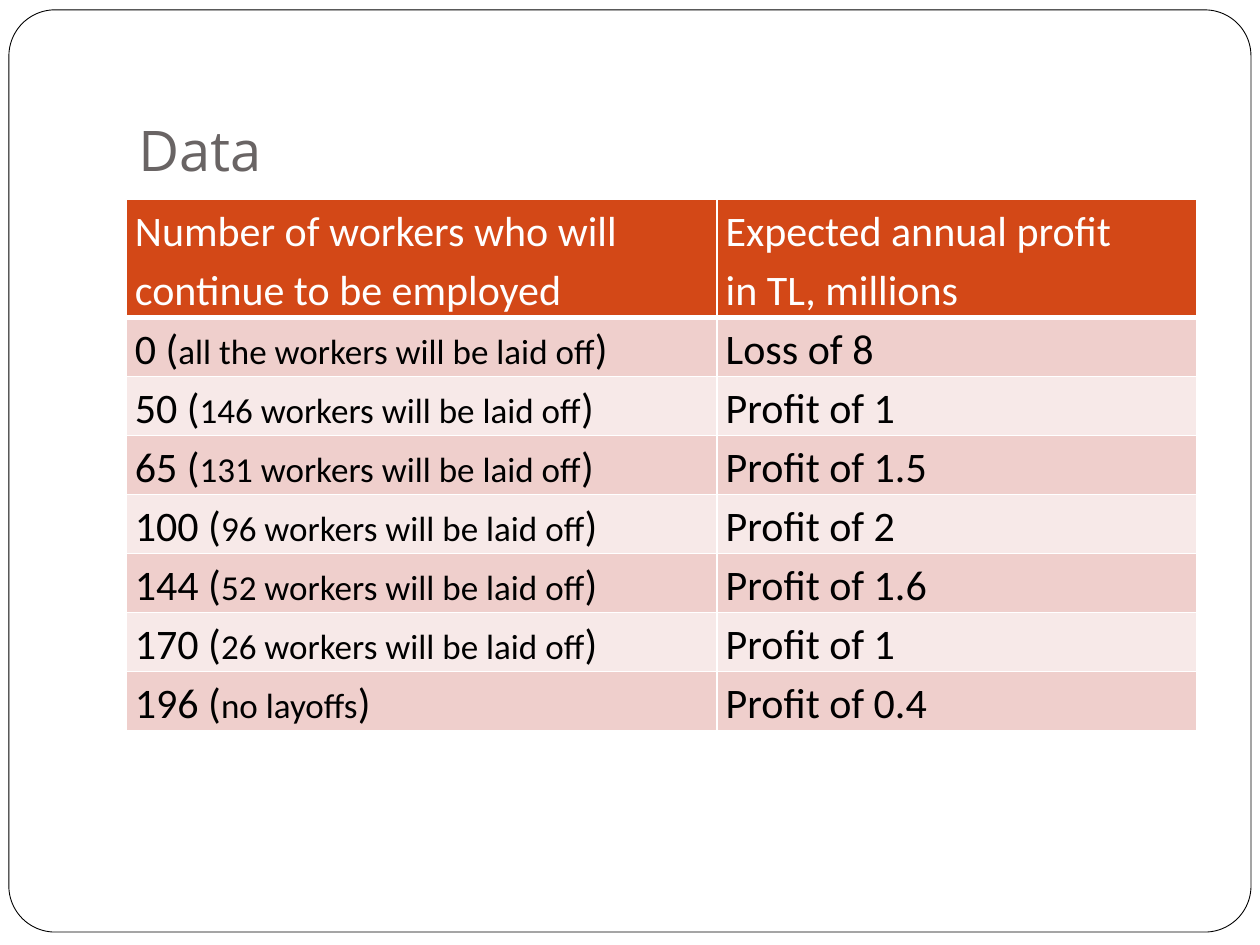
from pptx import Presentation
from pptx.dml.color import RGBColor
from pptx.enum.shapes import MSO_SHAPE
from pptx.enum.text import MSO_ANCHOR, PP_ALIGN
from pptx.util import Cm, Pt
from lxml.etree import SubElement
from pptx.oxml.ns import qn


def color(code):
    return RGBColor.from_string(code)


def write(para, text, font="Calibri", size=24, code="000000", space=1.15):
    para.alignment = PP_ALIGN.LEFT
    para.line_spacing = space
    run = para.add_run()
    run.text = text
    run.font.name = font
    run.font.size = Pt(size)
    run.font.bold = False
    run.font.color.rgb = color(code)


deck = Presentation()
deck.slide_width, deck.slide_height = Cm(25.4), Cm(19.05)
slide = deck.slides.add_slide(deck.slide_layouts[5])

frame = slide.shapes.add_shape(
    MSO_SHAPE.ROUNDED_RECTANGLE, Cm(0.18), Cm(0.2), Cm(25.04), Cm(18.59))
frame.adjustments[0] = 0.05
frame.shadow.inherit = False
frame.fill.solid()
frame.fill.fore_color.rgb = color("FFFFFF")
frame.line.color.rgb = color("000000")
frame.line.width = Pt(0.5)
slide.shapes._spTree.insert(2, frame._element)

title = slide.shapes.title
title.left, title.top, title.width, title.height = Cm(2.54), Cm(0.76), Cm(21.59), Cm(3.18)
body = title.text_frame
body.word_wrap = True
body.vertical_anchor = MSO_ANCHOR.BOTTOM
body.margin_left = body.margin_right = body.margin_bottom = Cm(0.25)
body.margin_top = Cm(0.13)
write(body.paragraphs[0], "Data", font="Open Sans", size=32, code="696464", space=1.0)

heads = [
    ["Number of workers who will", "continue to be employed"],
    ["Expected annual proﬁt", "in TL, millions"],
]
data = [
    ("0", "all the workers will be laid off", "Loss of 8"),
    ("50", "146 workers will be laid off", "Profit of 1"),
    ("65", "131 workers will be laid off", "Profit of 1.5"),
    ("100", "96 workers will be laid off", "Profit of 2"),
    ("144", "52 workers will be laid off", "Profit of 1.6"),
    ("170", "26 workers will be laid off", "Profit of 1"),
    ("196", "no layoffs", "Profit of 0.4"),
]

table = slide.shapes.add_table(
    len(data) + 1, 2, Cm(2.54), Cm(4.02), Cm(21.59), Cm(10.69)).table
table.columns[0].width, table.columns[1].width = Cm(11.91), Cm(9.68)
for row in table.rows:
    row.height = Cm(1.19)
table.rows[0].height = Cm(2.36)

for r, row in enumerate(table.rows):
    for cell in row.cells:
        cell.margin_left = cell.margin_right = Cm(0.18)
        cell.margin_top = cell.margin_bottom = 0
        props = cell._tc.get_or_add_tcPr()
        for side in ("lnL", "lnR", "lnT", "lnB"):
            thick = 3 if r == 0 and side == "lnB" else 1
            edge = SubElement(props, qn("a:" + side), w=str(Pt(thick)))
            SubElement(SubElement(edge, qn("a:solidFill")), qn("a:srgbClr"), val="FFFFFF")
        cell.fill.solid()
        tint = "D34817" if r == 0 else ("F7E9E8", "EFCFCC")[r % 2]
        cell.fill.fore_color.rgb = color(tint)

for cell, (first, second) in zip(table.rows[0].cells, heads):
    write(cell.text_frame.paragraphs[0], first, code="FFFFFF")
    write(cell.text_frame.add_paragraph(), second, code="FFFFFF")

for r, (count, note, profit) in enumerate(data, 1):
    para = table.cell(r, 0).text_frame.paragraphs[0]
    write(para, count + " (")
    write(para, note, size=20)
    write(para, ")")
    write(table.cell(r, 1).text_frame.paragraphs[0], profit)

deck.save("out.pptx")
